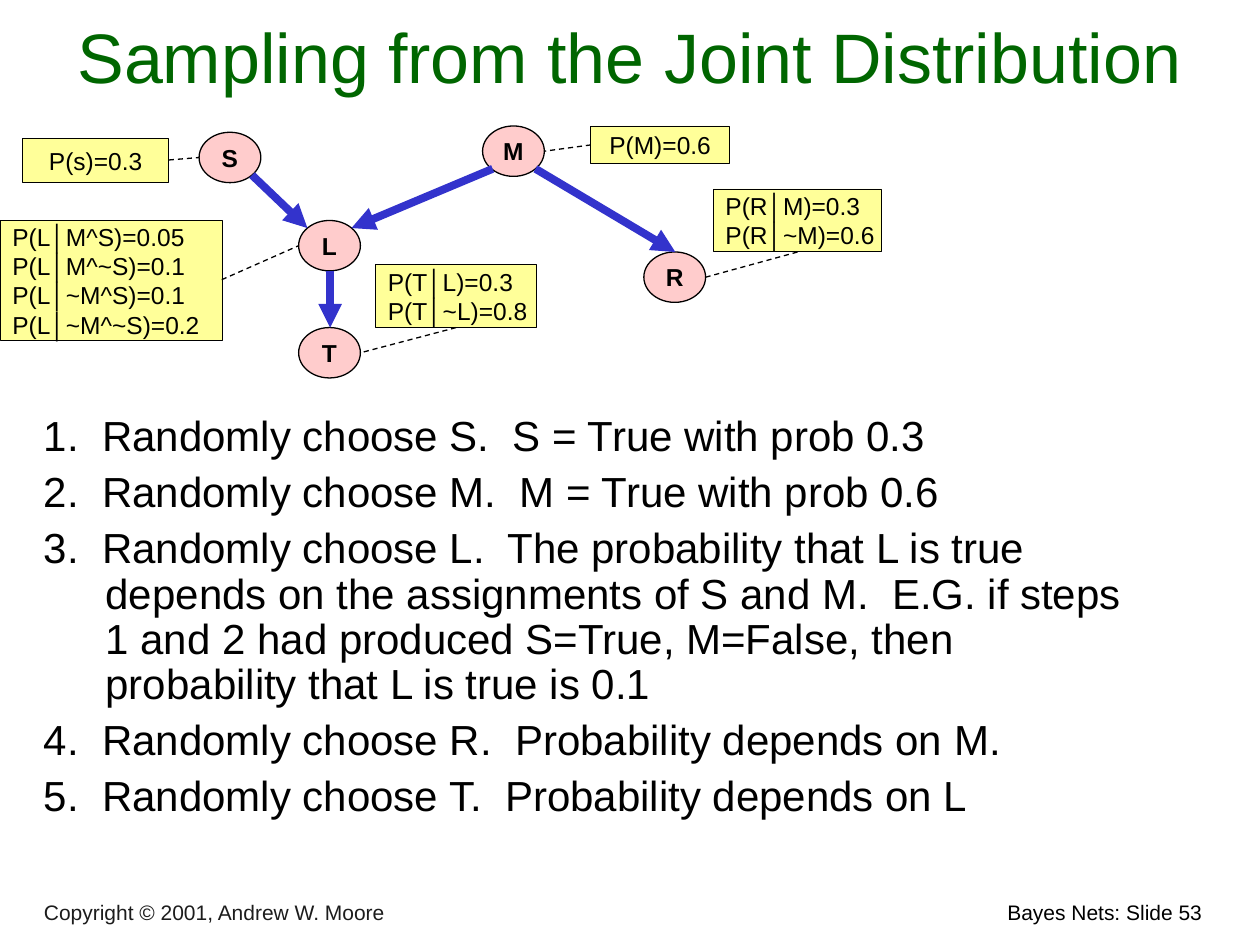
from lxml import etree
from pptx import Presentation
from pptx import util as u
from pptx.dml.color import RGBColor
from pptx.enum import dml, shapes, text
from pptx.oxml.ns import qn

BLACK, GREEN, GRAY = "000000", "006600", "1C1C1C"
PINK, YELLOW, BLUE = "FFCCCC", "FFFF99", "3333CC"
LEFT, CENTER, RIGHT = text.PP_ALIGN.LEFT, text.PP_ALIGN.CENTER, text.PP_ALIGN.RIGHT
TOP, MIDDLE, BOTTOM = (text.MSO_ANCHOR.TOP, text.MSO_ANCHOR.MIDDLE,
                       text.MSO_ANCHOR.BOTTOM)


def rgb(value):
    return RGBColor.from_string(value)


def inches(values):
    return [u.Inches(v) for v in values]


class Deck:
    font = "Arial"
    node_size = (0.49, 0.4)

    def __init__(self, slide):
        self.s = slide

    def set_text(self, sp, lines, size, color=BLACK, align=LEFT, anchor=TOP,
                 bold=False, wrap=True, hang=0, before=0, spacing=None):
        tf = sp.text_frame
        tf.word_wrap = wrap
        tf.vertical_anchor = anchor
        for i, line in enumerate(lines):
            p = tf.paragraphs[0] if i == 0 else tf.add_paragraph()
            p.text = line
            p.alignment = align
            if hang:
                pPr = p._p.get_or_add_pPr()
                pPr.set("marL", str(u.Inches(hang)))
                pPr.set("indent", str(-u.Inches(hang)))
            if i and before:
                p.space_before = u.Pt(before)
            if spacing:
                p.line_spacing = spacing
            p.font.name, p.font.size, p.font.bold = self.font, u.Pt(size), bold
            p.font.color.rgb = rgb(color)

    def textbox(self, box, lines, size, **style):
        sp = self.s.shapes.add_textbox(*inches(box))
        self.set_text(sp, lines, size, **style)

    def shape(self, kind, box, fill, width, lines, **style):
        sp = self.s.shapes.add_shape(kind, *inches(box))
        sp.shadow.inherit = False
        sp.fill.solid()
        sp.fill.fore_color.rgb = rgb(fill)
        sp.line.color.rgb = rgb(BLACK)
        sp.line.width = u.Pt(width)
        self.set_text(sp, lines, 14, anchor=MIDDLE, wrap=False, hang=0.38, **style)

    def node(self, name, left, top):
        self.shape(shapes.MSO_SHAPE.OVAL, (left, top, *self.node_size), PINK,
                   0.75, [name], align=CENTER, bold=True)

    def table_note(self, box, lines):
        self.shape(shapes.MSO_SHAPE.RECTANGLE, box, YELLOW, 0.5, lines,
                   align=CENTER if len(lines) == 1 else LEFT)

    def line(self, ends, color, width):
        c = self.s.shapes.add_connector(shapes.MSO_CONNECTOR.STRAIGHT, *inches(ends))
        c.line.color.rgb = rgb(color)
        c.line.width = u.Pt(width)
        etree.SubElement(c._element.spPr, qn("a:effectLst"))
        return c

    def arrow(self, ends):
        ln = self.line(ends, BLUE, 4.5).line._get_or_add_ln()
        etree.SubElement(ln, qn("a:tailEnd"), type="triangle")

    def leader(self, ends):
        self.line(ends, BLACK, 0.75).line.dash_style = dml.MSO_LINE.DASH


def main():
    prs = Presentation()
    prs.slide_width, prs.slide_height = inches((10, 7.5))
    deck = Deck(prs.slides.add_slide(prs.slide_layouts[6]))

    # Footer and title
    deck.textbox((5.72, 7.09, 3.92, 0.3), ["Bayes Nets: Slide 53"], 12, align=RIGHT)
    deck.textbox((0.25, 7.11, 5.55, 0.28), ["Copyright © 2001, Andrew W. Moore"], 12,
                 color=GRAY, anchor=BOTTOM)
    deck.textbox((0.08, 0.17, 9.83, 0.65), ["Sampling from the Joint Distribution"],
                 40, color=GREEN, align=CENTER, anchor=BOTTOM)

    # Sampling steps
    deck.textbox((0.25, 3.25, 8.83, 3.5), [
        "1.  Randomly choose S.  S = True with prob 0.3",
        "2.  Randomly choose M.  M = True with prob 0.6",
        "3.  Randomly choose L.  The probability that L is true depends on the "
        "assignments of S and M.  E.G. if steps 1 and 2 had produced S=True, "
        "M=False, then probability that L is true is 0.1",
        "4.  Randomly choose R.  Probability depends on M.",
        "5.  Randomly choose T.  Probability depends on L",
    ], 24, hang=0.49, before=6, spacing=0.9)

    # Network nodes
    for name, left, top in [("S", 1.58, 1.05), ("M", 3.83, 1), ("R", 5.11, 2),
                            ("L", 2.37, 1.75), ("T", 2.37, 2.6)]:
        deck.node(name, left, top)

    # Probability tables
    for box, lines in [
        ((0.18, 1.1, 1.16, 0.35), ["P(s)=0.3"]),
        ((4.69, 1, 1.1, 0.3), ["P(M)=0.6"]),
        ((5.66, 1.5, 1.34, 0.5), ["P(R│M)=0.3", "P(R│~M)=0.6"]),
        ((2.98, 2.1, 1.28, 0.5), ["P(T│L)=0.3", "P(T│~L)=0.8"]),
        ((0, 1.75, 1.77, 0.95), ["P(L│M^S)=0.05", "P(L│M^~S)=0.1",
                                 "P(L│~M^S)=0.1", "P(L│~M^~S)=0.2"]),
    ]:
        deck.table_note(box, lines)

    # Dependencies: S-L, M-L, M-R, L-T
    for ends in [(2, 1.39, 2.44, 1.81), (3.91, 1.34, 2.79, 1.81),
                 (4.25, 1.34, 5.36, 2), (2.62, 2.15, 2.62, 2.6)]:
        deck.arrow(ends)

    # Leaders from tables to nodes T, R, M, S, L
    for ends in [(3.62, 2.6, 2.86, 2.8), (6.33, 2, 5.6, 2.2),
                 (4.69, 1.15, 4.32, 1.2), (1.34, 1.27, 1.58, 1.25),
                 (1.76, 2.22, 2.37, 1.95)]:
        deck.leader(ends)

    prs.save("out.pptx")


if __name__ == "__main__":
    main()
